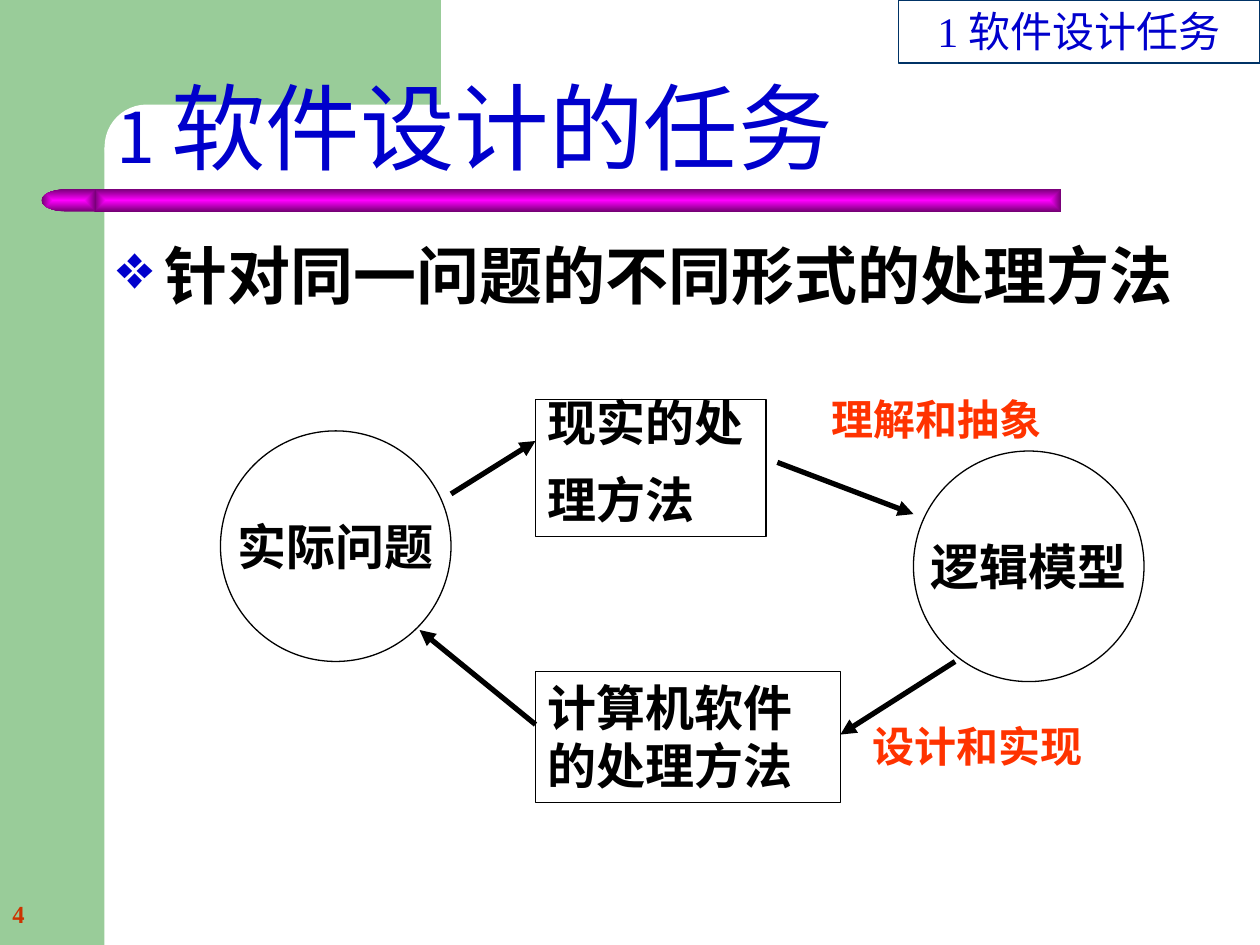
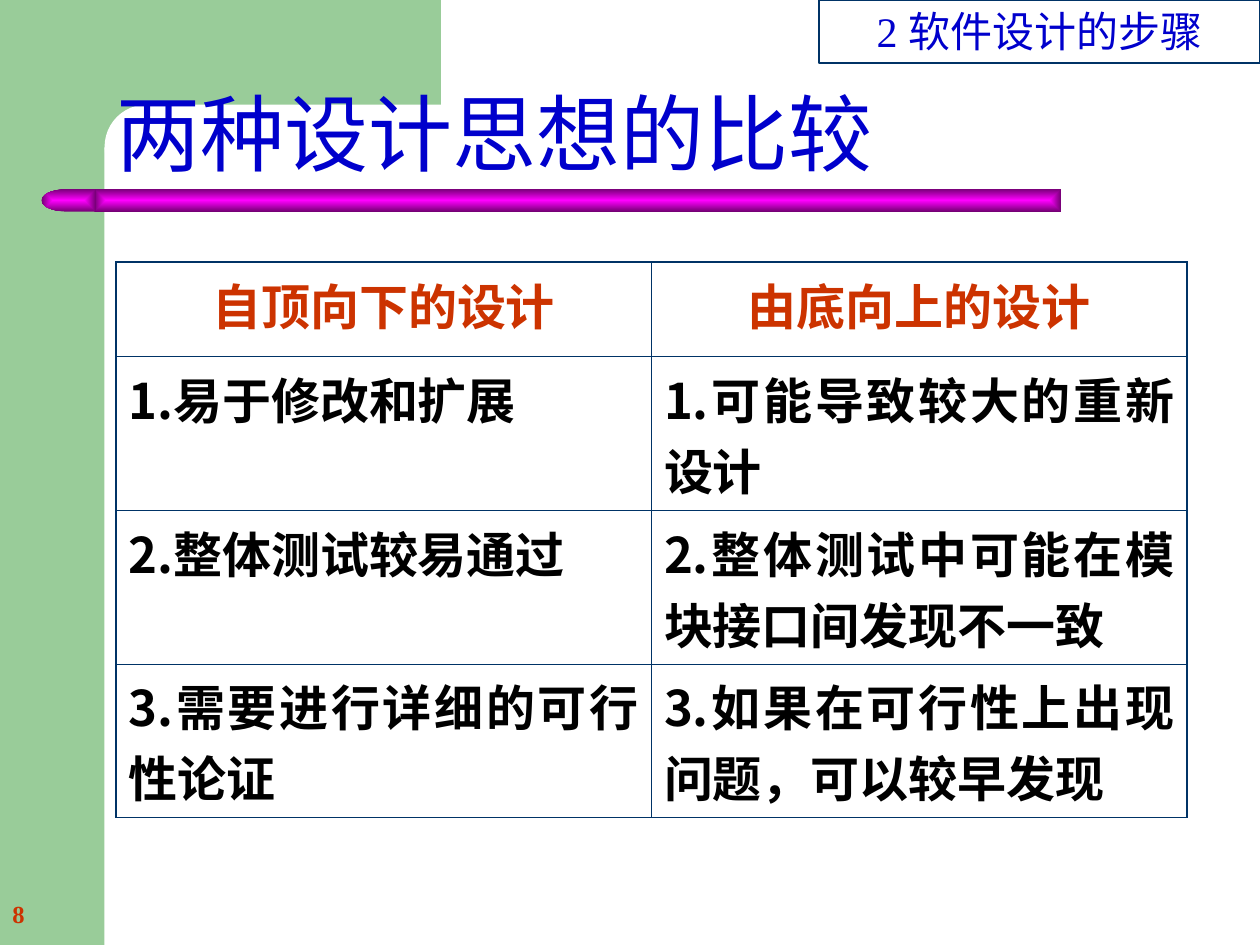
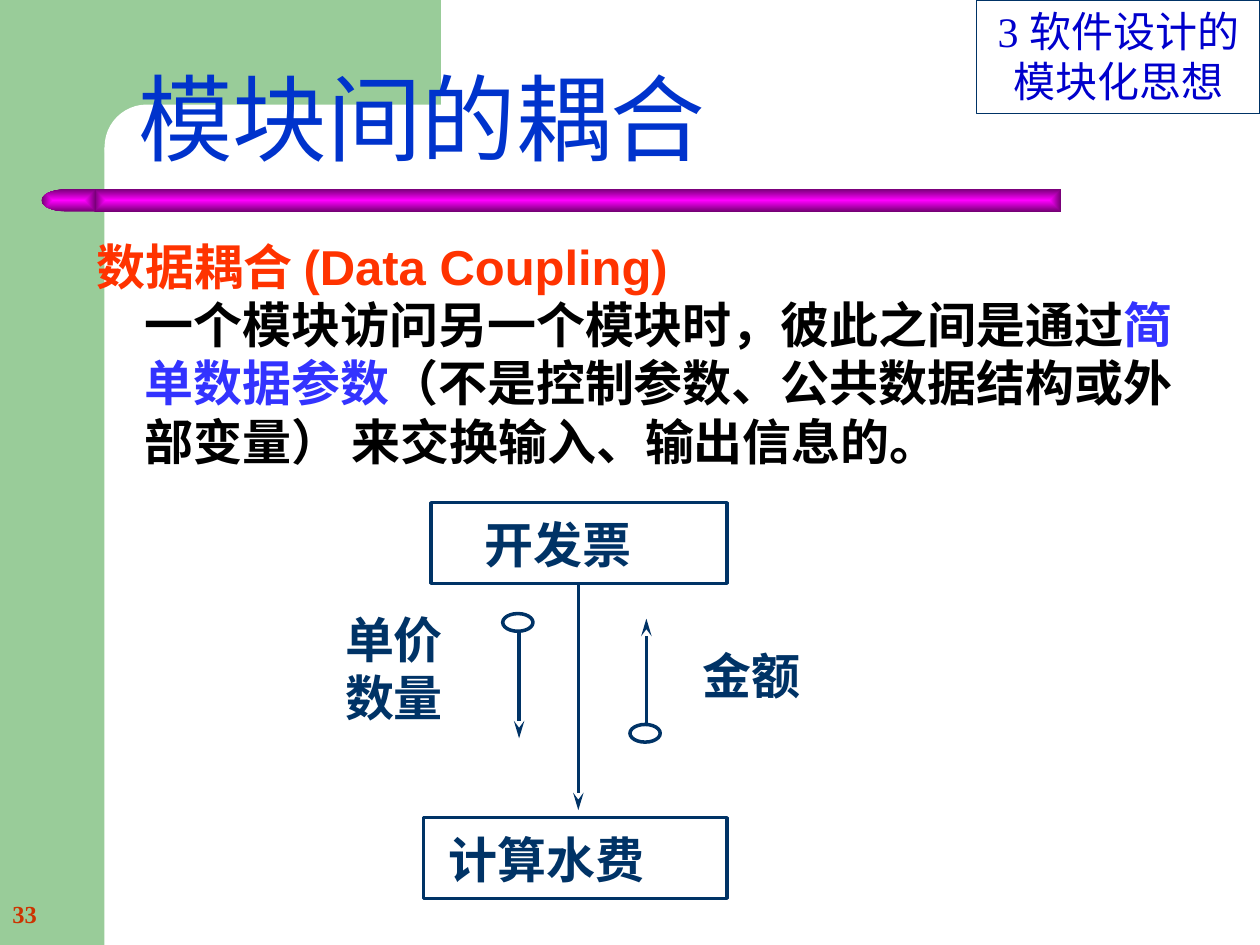
from dataclasses import dataclass
from typing import Optional

from lxml import etree
from pptx import Presentation
from pptx import util as u
from pptx.dml.color import RGBColor
from pptx.enum import shapes as s
from pptx.enum import text as t
from pptx.oxml.ns import qn


@dataclass(frozen=True)
class Theme:
    green: str = "99CC99"
    white: str = "FFFFFF"
    black: str = "000000"
    blue: str = "0000CC"
    royal: str = "0033CC"
    violet: str = "3333FF"
    navy: str = "003366"
    orange: str = "FF3300"
    rust: str = "CC3300"
    magenta: str = "FF00FF"
    purple: str = "760076"
    cjk: str = "Noto Sans CJK SC"
    serif: str = "Times New Roman"
    sans: str = "Arial"
    title: int = 54
    subtitle: int = 48
    numeral: int = 40
    lead: int = 36
    text: int = 28
    label: int = 24
    page: int = 14
    pitch: float = 1.19


THEME = Theme()
Align = t.PP_ALIGN
Anchor = t.MSO_ANCHOR
Preset = s.MSO_SHAPE


@dataclass(frozen=True)
class Box:
    left: float
    top: float
    width: float
    height: float

    def lengths(self) -> tuple:
        return tuple(u.Inches(n) for n in (self.left, self.top, self.width, self.height))


@dataclass(frozen=True)
class Run:
    text: str
    size: float = THEME.text
    color: str = THEME.black
    font: str = THEME.serif
    bold: bool = True


@dataclass(frozen=True)
class Block:
    paragraphs: tuple
    align: Align = Align.LEFT
    anchor: Anchor = Anchor.TOP
    wrap: bool = True
    pitch: Optional[float] = THEME.pitch
    before: float = 0
    hanging: float = 0
    bullet: str = ""


@dataclass(frozen=True)
class Node:
    box: Box
    preset: Preset = Preset.RECTANGLE
    fill: Optional[str] = None
    line: Optional[str] = None
    weight: float = 0.75
    block: Optional[Block] = None


@dataclass(frozen=True)
class Arrow:
    start: tuple
    end: tuple
    color: str
    weight: float
    head: str
    length: str = "med"


def rgb(value: str) -> RGBColor:
    return RGBColor.from_string(value)


def add_child(parent, tag: str, **attributes):
    child = etree.SubElement(parent, qn(tag))
    for name, value in attributes.items():
        child.set(name, value)
    return child


def set_margins(holder) -> None:
    holder.margin_left = holder.margin_right = u.Inches(0.1)
    holder.margin_top = holder.margin_bottom = u.Inches(0.05)


def add_run(paragraph, item: Run) -> None:
    run = paragraph.add_run()
    run.text = item.text
    font = run.font
    font.size, font.bold, font.name = u.Pt(item.size), item.bold, item.font
    font.color.rgb = rgb(item.color)
    add_child(font._element, "a:ea", typeface=THEME.cjk)


def add_bullet(properties, symbol: str) -> None:
    add_child(add_child(properties, "a:buClr"), "a:srgbClr", val=THEME.blue)
    add_child(properties, "a:buSzPct", val="100000")
    add_child(properties, "a:buChar", char=symbol)


def write(frame, block: Block) -> None:
    frame.word_wrap = block.wrap
    frame.vertical_anchor = block.anchor
    set_margins(frame)
    for index, items in enumerate(block.paragraphs):
        paragraph = frame.add_paragraph() if index else frame.paragraphs[0]
        paragraph.alignment = block.align
        if block.pitch:
            paragraph.line_spacing = u.Pt(max(item.size for item in items) * block.pitch)
        if index and block.before:
            paragraph.space_before = u.Pt(block.before)
        properties = paragraph._p.get_or_add_pPr()
        if block.hanging:
            properties.set("marL", str(u.Inches(block.hanging)))
            properties.set("indent", str(-u.Inches(block.hanging)))
        if block.bullet:
            add_bullet(properties, block.bullet)
        for item in items:
            if item.text == "\n":
                paragraph.add_line_break()
            else:
                add_run(paragraph, item)


def add_node(slide, node: Node):
    shape = slide.shapes.add_shape(node.preset, *node.box.lengths())
    shape.shadow.inherit = False
    if node.fill:
        shape.fill.solid()
        shape.fill.fore_color.rgb = rgb(node.fill)
    else:
        shape.fill.background()
    if node.line:
        shape.line.color.rgb = rgb(node.line)
        shape.line.width = u.Pt(node.weight)
    else:
        shape.line.fill.background()
    if node.block:
        write(shape.text_frame, node.block)
    return shape


def add_text(slide, box: Box, block: Block) -> None:
    write(slide.shapes.add_textbox(*box.lengths()).text_frame, block)


def add_arrow(slide, arrow: Arrow) -> None:
    ends = [u.Inches(n) for n in arrow.start + arrow.end]
    connector = slide.shapes.add_connector(s.MSO_CONNECTOR.STRAIGHT, *ends)
    connector.line.color.rgb = rgb(arrow.color)
    connector.line.width = u.Pt(arrow.weight)
    add_child(connector.line._get_or_add_ln(), "a:tailEnd", type=arrow.head, len=arrow.length)
    add_child(connector._element.spPr, "a:effectLst")


def glow(shape) -> None:
    shape.fill.gradient()
    for stop, color in zip(shape.fill.gradient_stops, (THEME.magenta, THEME.purple)):
        stop.color.rgb = rgb(color)
    gradient = shape._element.spPr.find(qn("a:gradFill"))
    gradient.remove(gradient.find(qn("a:lin")))
    centre = add_child(gradient, "a:path", path="rect")
    add_child(centre, "a:fillToRect", l="50000", t="50000", r="50000", b="50000")


def add_base(presentation, page: int):
    slide = presentation.slides.add_slide(presentation.slide_layouts[6])
    add_node(slide, Node(Box(0, 0, 0.83, 7.5), fill=THEME.green))
    add_node(slide, Node(Box(0.75, 0, 2.75, 1.17), fill=THEME.green))
    corner = add_node(
        slide, Node(Box(0.83, 0.83, 5.58, 0.67), Preset.ROUNDED_RECTANGLE, THEME.white))
    corner.adjustments[0] = 0.5
    bar = add_node(slide, Node(Box(0.75, 1.5, 7.67, 0.18), Preset.ROUNDED_RECTANGLE))
    bar.adjustments[0] = 0
    cap = add_node(slide, Node(Box(0.33, 1.5, 0.43, 0.18), Preset.FLOWCHART_DELAY))
    cap._element.spPr.find(qn("a:xfrm")).set("flipH", "1")
    for shape in (bar, cap):
        glow(shape)
    number = Run(str(page), THEME.page, THEME.rust)
    add_text(slide, Box(0, 7, 2.08, 0.5),
             Block(((number,),), anchor=Anchor.MIDDLE, pitch=None))
    return slide


def add_title(slide, *items: Run) -> None:
    add_text(slide, Box(0.83, 0.25, 8.75, 1.25), Block((items,), anchor=Anchor.BOTTOM))


def title_run(text: str, size: float, color: str = THEME.blue) -> Run:
    return Run(text, size, color, THEME.cjk, False)


def add_section(slide, text: str, width: float, height: float = 0.5) -> None:
    item = Run(text, THEME.label, THEME.blue, bold=False)
    add_node(slide, Node(Box(10 - width, 0, width, height), line=THEME.navy,
                         block=Block(((item,),), Align.CENTER)))


def build_task(presentation) -> None:
    slide = add_base(presentation, 4)
    add_title(slide, title_run("1 ", THEME.numeral), title_run("软件设计的任务", THEME.title))
    lead = Run("针对同一问题的不同形式的处理方法", THEME.lead, font=THEME.cjk)
    add_text(slide, Box(0.83, 1.83, 8.92, 0.88),
             Block(((lead,),), hanging=0.38, bullet="❖"))

    reality = Block(((Run("现实的处"),), (Run("理方法"),)), pitch=0.94, before=17.5)
    software = Block(((Run("计算机软件的处理方法"),),))
    for box, block in ((Box(4.25, 3.17, 1.83, 1.09), reality),
                       (Box(4.25, 5.33, 2.42, 1.04), software)):
        add_node(slide, Node(box, line=THEME.black, block=block))
    for left, top, text in ((1.75, 3.42, "实际问题"), (7.25, 3.58, "逻辑模型")):
        block = Block(((Run(text),),), Align.CENTER, Anchor.MIDDLE, wrap=False)
        add_node(slide, Node(Box(left, top, 1.83, 1.83), Preset.OVAL,
                             line=THEME.black, block=block))
    for start, end in (((3.58, 3.92), (4.25, 3.5)), ((6.17, 3.67), (7.25, 4.08)),
                       ((7.58, 5.25), (6.67, 5.83)), ((4.25, 5.75), (3.33, 5))):
        add_arrow(slide, Arrow(start, end, THEME.black, 3, "triangle"))
    for left, top, text in ((6.5, 3.08, "理解和抽象"), (6.83, 5.67, "设计和实现")):
        add_text(slide, Box(left, top, 2.33, 0.5),
                 Block(((Run(text, THEME.label, THEME.orange),),)))
    add_section(slide, "1 软件设计任务", 2.87)


def set_borders(cell, row: int, column: int, last_row: int, last_column: int) -> None:
    outer = {"a:lnL": column == 0, "a:lnR": column == last_column,
             "a:lnT": row == 0, "a:lnB": row == last_row}
    properties = cell._tc.get_or_add_tcPr()
    for index, (tag, is_outer) in enumerate(outer.items()):
        line = add_child(properties, tag, w=str(u.Pt(1.08 if is_outer else 0.45)))
        add_child(add_child(line, "a:solidFill"), "a:srgbClr", val=THEME.navy)
        properties.insert(index, line)


def build_comparison(presentation) -> None:
    slide = add_base(presentation, 8)
    add_title(slide, title_run("两种设计思想的比较", THEME.subtitle))
    rows = (
        ("自顶向下的设计", "由底向上的设计"),
        ("1.易于修改和扩展", "1.可能导致较大的重新设计"),
        ("2.整体测试较易通过", "2.整体测试中可能在模块接口间发现不一致"),
        ("3.需要进行详细的可行性论证", "3.如果在可行性上出现问题，可以较早发现"),
    )
    header_height, row_height = 0.75, 1.22
    box = Box(0.92, 2.08, 8.5, header_height + row_height * (len(rows) - 1))
    table = slide.shapes.add_table(len(rows), 2, *box.lengths()).table
    table.first_row = table.horz_banding = False
    for column in table.columns:
        column.width = u.Inches(box.width / 2)
    for index, row in enumerate(table.rows):
        row.height = u.Inches(row_height if index else header_height)
    for row, texts in enumerate(rows):
        for column, text in enumerate(texts):
            cell = table.cell(row, column)
            cell.fill.background()
            set_borders(cell, row, column, len(rows) - 1, 1)
            set_margins(cell)
            paragraph = cell.text_frame.paragraphs[0]
            paragraph.alignment = Align.JUSTIFY if row else Align.CENTER
            color = THEME.black if row else THEME.rust
            add_run(paragraph, Run(text, color=color, font=THEME.cjk))
    add_section(slide, "2 软件设计的步骤", 3.5)


def build_coupling(presentation) -> None:
    slide = add_base(presentation, 33)
    definition = (
        ("数据耦合 (Data Coupling)", THEME.orange),
        ("\n", THEME.orange),
        ("一个模块访问另一个模块时，彼此之间是通过", THEME.black),
        ("简单数据参数", THEME.violet),
        ("（不是控制参数、公共数据结构或外部变量） 来交换输入、输出信息的。", THEME.black),
    )
    items = tuple(Run(text, color=color, font=THEME.sans) for text, color in definition)
    add_text(slide, Box(0.67, 1.83, 8.83, 5.42), Block((items,), hanging=0.38))
    title = title_run("模块间的耦合", THEME.title, THEME.royal)
    add_text(slide, Box(1, 0.34, 5.58, 1.09), Block(((title,),), pitch=1.32))
    add_section(slide, "3 软件设计的模块化思想", 2.25, 0.9)

    for box in (Box(3.42, 3.99, 2.35, 0.64), Box(3.36, 6.49, 2.41, 0.64)):
        add_node(slide, Node(box, fill=THEME.white, line=THEME.navy, weight=2))
    for start, end in (((4.59, 4.64), (4.59, 6.43)), ((4.12, 5.01), (4.12, 5.86)),
                       ((5.13, 5.76), (5.13, 4.91))):
        add_arrow(slide, Arrow(start, end, THEME.navy, 2, "stealth", "lg"))
    for box, lines, wrap in (
        (Box(3.75, 4.04, 1.37, 0.57), ("开发票",), False),
        (Box(3.46, 6.54, 1.76, 0.57), ("计算水费",), False),
        (Box(2.64, 4.79, 1.36, 1.04), ("单价", "数量"), True),
        (Box(5.48, 5.08, 1.25, 0.57), ("金额",), True),
    ):
        paragraphs = tuple((Run(line, color=THEME.navy, font=THEME.cjk),) for line in lines)
        add_text(slide, box, Block(paragraphs, wrap=wrap))
    for left, top in ((5, 5.75), (3.99, 4.87)):
        add_node(slide, Node(Box(left, top, 0.24, 0.14), Preset.OVAL,
                             line=THEME.navy, weight=2))


def main() -> None:
    presentation = Presentation()
    presentation.slide_width, presentation.slide_height = u.Inches(10), u.Inches(7.5)
    for build in (build_task, build_comparison, build_coupling):
        build(presentation)
    presentation.save("out.pptx")


if __name__ == "__main__":
    main()
